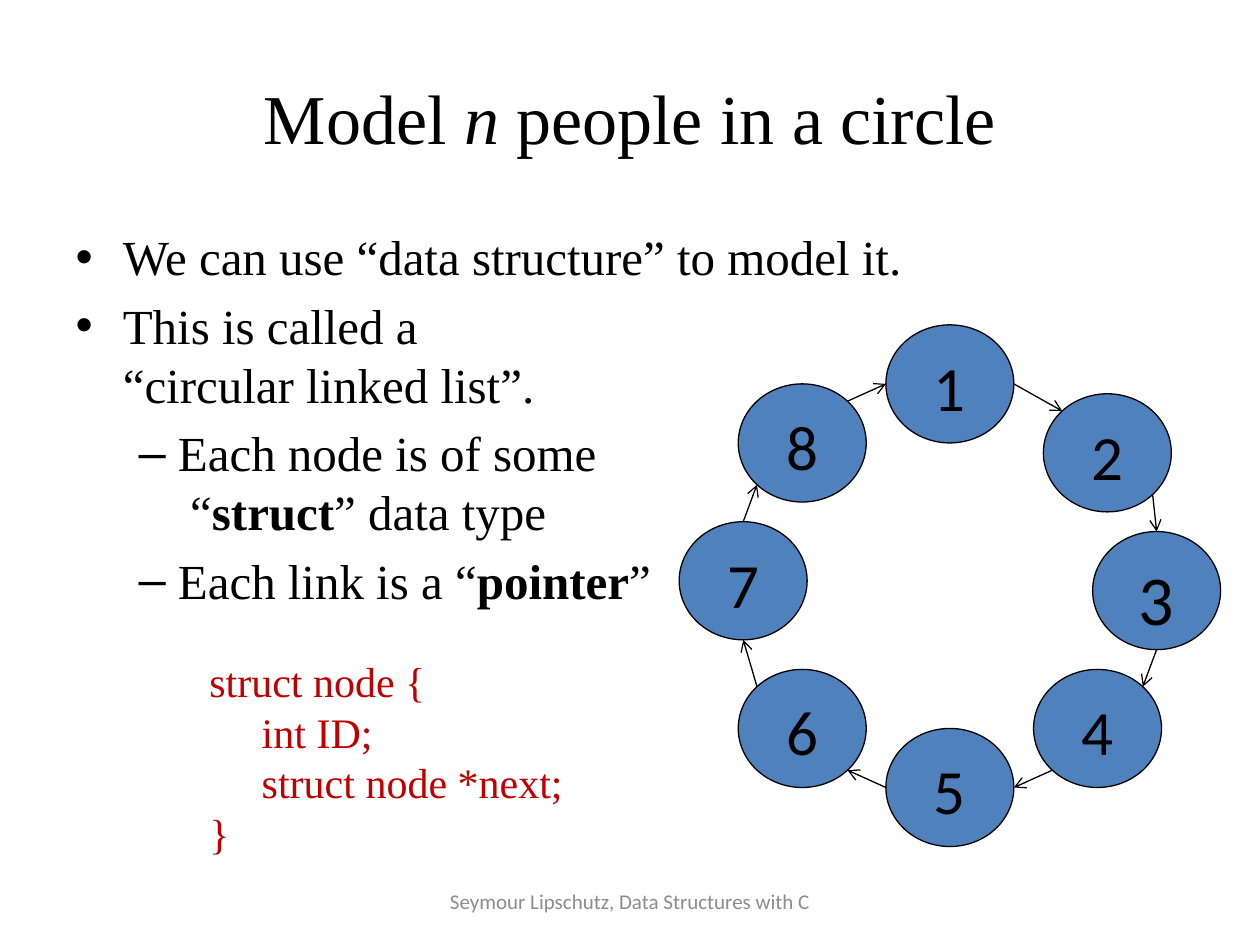
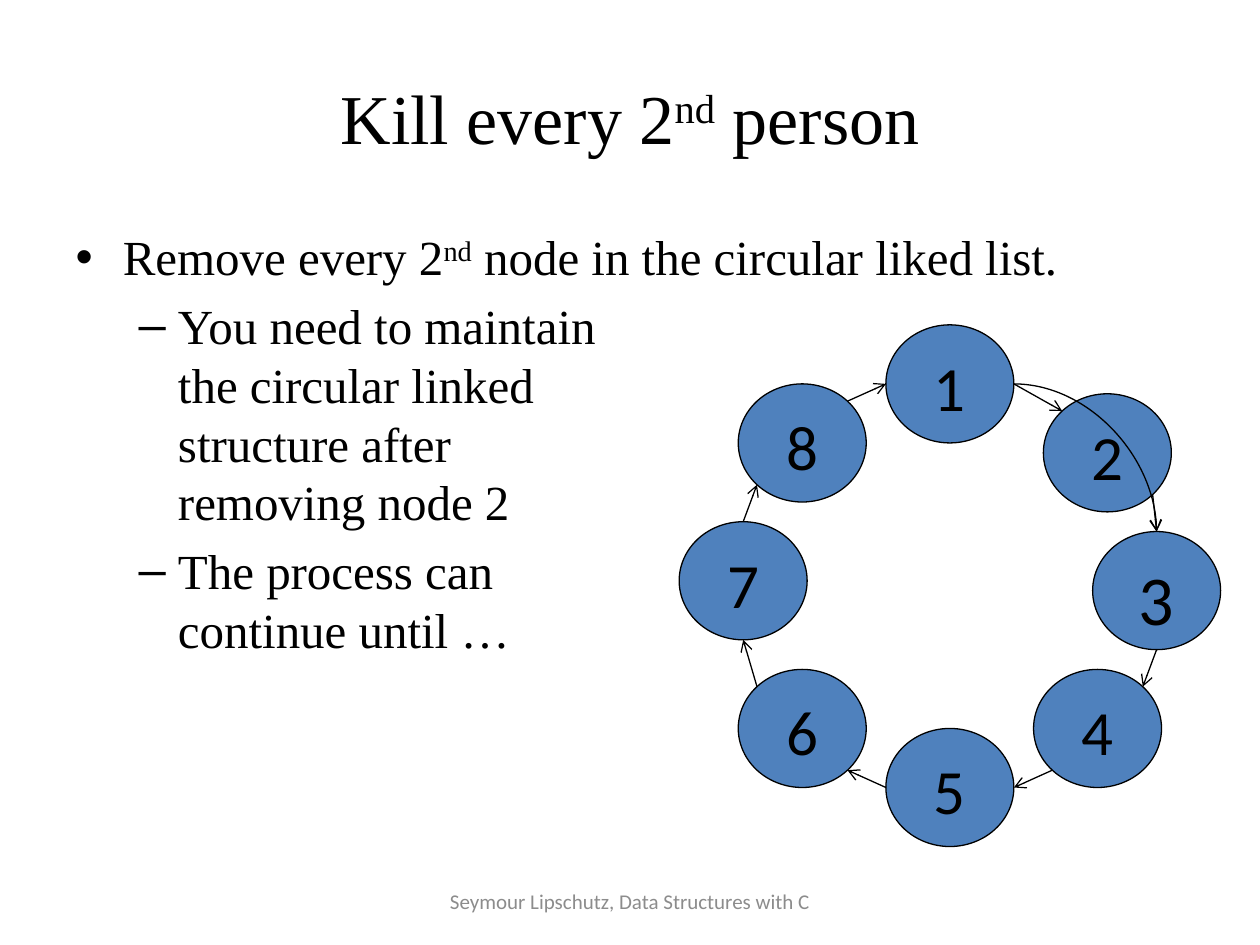
from copy import deepcopy
from math import sqrt

from lxml.etree import SubElement
from pptx import Presentation
from pptx.dml.color import RGBColor
from pptx.enum.shapes import MSO_CONNECTOR, MSO_SHAPE
from pptx.enum.text import MSO_ANCHOR, MSO_AUTO_SIZE, PP_ALIGN
from pptx.oxml.ns import qn
from pptx.util import Inches, Pt

COLORS = {"ink": "000000", "node": "4F81BD", "code": "C00000", "footer": "8C8C8C"}
SERIF, SANS = "Times New Roman", "Calibri"
STYLES = {
    "title": {"name": SERIF, "size": Pt(40), "color": "ink"},
    "body": {"name": SERIF, "size": Pt(28), "color": "ink"},
    "code": {"name": SERIF, "size": Pt(24), "color": "code"},
    "footer": {"name": SANS, "size": Pt(12), "color": "footer"},
    "node": {"name": SANS, "size": Pt(36), "color": "ink"},
    "large node": {"name": SANS, "size": Pt(40), "color": "ink"},
}
BOLD, ITALIC, RAISED = {"bold": True}, {"italic": True}, {"baseline": 30000}

SLIDES = [
    {
        "title": ["Model ", ("n", ITALIC), " people in a circle"],
        "body": [
            (0, ["We can use “data structure” to model it."]),
            (0, ["This is called a\n“circular linked list”."]),
            (1, ["Each node is of some\n “", ("struct", BOLD), "” data type"]),
            (1, ["Each link is a “", ("pointer", BOLD), "”"]),
        ],
        "code": ["struct node {", "     int ID;", "     struct node *next;", "}"],
        "shortcuts": [],
    },
    {
        "title": ["Kill every 2", ("nd", RAISED), " person"],
        "body": [
            (0, ["Remove every 2", ("nd", RAISED), " node in the circular liked list."]),
            (1, ["You need to maintain\nthe circular linked\nstructure after\nremoving node 2"]),
            (1, ["The process can\ncontinue until …"]),
        ],
        "code": [],
        "shortcuts": [(1, "E", 3, "N")],
    },
]
FOOTER = "Seymour Lipschutz, Data Structures with C"

COLUMNS, ROWS = 128, 96
WIDTH, HEIGHT = Inches(10), Inches(7.5)
PLACES = {
    "title": (6.4, 3.84, 115.2, 16),
    "body": (6.4, 22.4, 115.2, 63.36),
    "code": (20, 66, 49, 22),
    "footer": (43.73, 89, 40.53, 5.12),
}
NODE_SIZE = (13, 12)
NODES = {
    1: (90, 33), 2: (106, 40), 3: (111, 54), 4: (105, 68),
    5: (90, 74), 6: (75, 68), 7: (69, 53), 8: (75, 39),
}
LARGE_NODE = 3
LINKS = [
    (1, "E", 2, "NW"), (2, "SE", 3, "N"), (3, "S", 4, "NE"), (4, "SW", 5, "E"),
    (5, "W", 6, "SE"), (6, "NW", 7, "S"), (7, "N", 8, "SW"), (8, "NE", 1, "W"),
]
COMPASS = {"N": (0, -1), "S": (0, 1), "E": (1, 0), "W": (-1, 0)}


def rgb(name):
    return RGBColor.from_string(COLORS[name])


def on_grid(*cells):
    units = (WIDTH / COLUMNS, HEIGHT / ROWS)
    return [round(cell * units[i % 2]) for i, cell in enumerate(cells)]


def place(shape, cells):
    shape.left, shape.top, shape.width, shape.height = on_grid(*cells)


def format_span(span, style):
    for key, value in style.items():
        if key == "color":
            span.font.color.rgb = rgb(value)
        elif key == "baseline":
            span._r.get_or_add_rPr().set("baseline", str(value))
        else:
            setattr(span.font, key, value)


def write(para, pieces, style):
    for piece in pieces:
        text, extra = piece if isinstance(piece, tuple) else (piece, {})
        for i, line in enumerate(text.split("\n")):
            if i:
                para.add_line_break()
                para._p[-1].append(deepcopy(span._r.rPr))
            span = para.add_run()
            span.text = line
            format_span(span, STYLES[style] | extra)


def fill_frame(frame, paragraphs, style):
    frame.word_wrap = True
    frame.auto_size = MSO_AUTO_SIZE.NONE
    for i, (level, pieces) in enumerate(paragraphs):
        para = frame.add_paragraph() if i else frame.paragraphs[0]
        para.level = level
        if not i and style == "body":
            para.space_before = Pt(0)
        write(para, pieces, style)


def add_text(page, kind, lines):
    box = page.shapes.add_textbox(*on_grid(*PLACES[kind]))
    fill_frame(box.text_frame, [(0, [line]) for line in lines], kind)
    return box


def add_node(page, number):
    node = page.shapes.add_shape(MSO_SHAPE.OVAL, *on_grid(*NODES[number], *NODE_SIZE))
    node.shadow.inherit = False
    node.fill.solid()
    node.fill.fore_color.rgb = rgb("node")
    node.line.color.rgb = rgb("ink")
    node.line.width = Pt(0.75)
    style = "large node" if number == LARGE_NODE else "node"
    fill_frame(node.text_frame, [(0, [str(number)])], style)
    node.text_frame.vertical_anchor = MSO_ANCHOR.TOP
    node.text_frame.paragraphs[0].alignment = PP_ALIGN.CENTER


def rim_point(number, side):
    steps = [sum(COMPASS[letter][axis] for letter in side) for axis in (0, 1)]
    return [
        start + size / 2 * (1 + step / sqrt(len(side)))
        for start, size, step in zip(NODES[number], NODE_SIZE, steps)
    ]


def add_link(page, link, kind=MSO_CONNECTOR.STRAIGHT):
    source, leaving, target, arriving = link
    ends = rim_point(source, leaving) + rim_point(target, arriving)
    arrow = page.shapes.add_connector(kind, *on_grid(*ends))
    arrow.line.color.rgb = rgb("ink")
    arrow.line.width = Pt(0.75)
    properties = arrow._element.spPr
    SubElement(properties.find(qn("a:ln")), qn("a:tailEnd"), type="arrow")
    SubElement(properties, qn("a:effectLst"))
    if kind == MSO_CONNECTOR.CURVE:
        properties.find(qn("a:prstGeom")).set("prst", "curvedConnector2")


def add_page(deck, content):
    page = deck.slides.add_slide(deck.slide_layouts[1])
    title, body = page.placeholders
    place(title, PLACES["title"])
    place(body, PLACES["body"])
    fill_frame(title.text_frame, [(0, content["title"])], "title")
    fill_frame(body.text_frame, content["body"], "body")
    for number in NODES:
        add_node(page, number)
    for link in LINKS:
        add_link(page, link)
    for link in content["shortcuts"]:
        add_link(page, link, MSO_CONNECTOR.CURVE)
    if content["code"]:
        add_text(page, "code", content["code"])
    footer = add_text(page, "footer", [FOOTER])
    footer.text_frame.vertical_anchor = MSO_ANCHOR.MIDDLE
    footer.text_frame.paragraphs[0].alignment = PP_ALIGN.CENTER


def main():
    deck = Presentation()
    deck.slide_width, deck.slide_height = WIDTH, HEIGHT
    for content in SLIDES:
        add_page(deck, content)
    deck.save("out.pptx")


if __name__ == "__main__":
    main()
